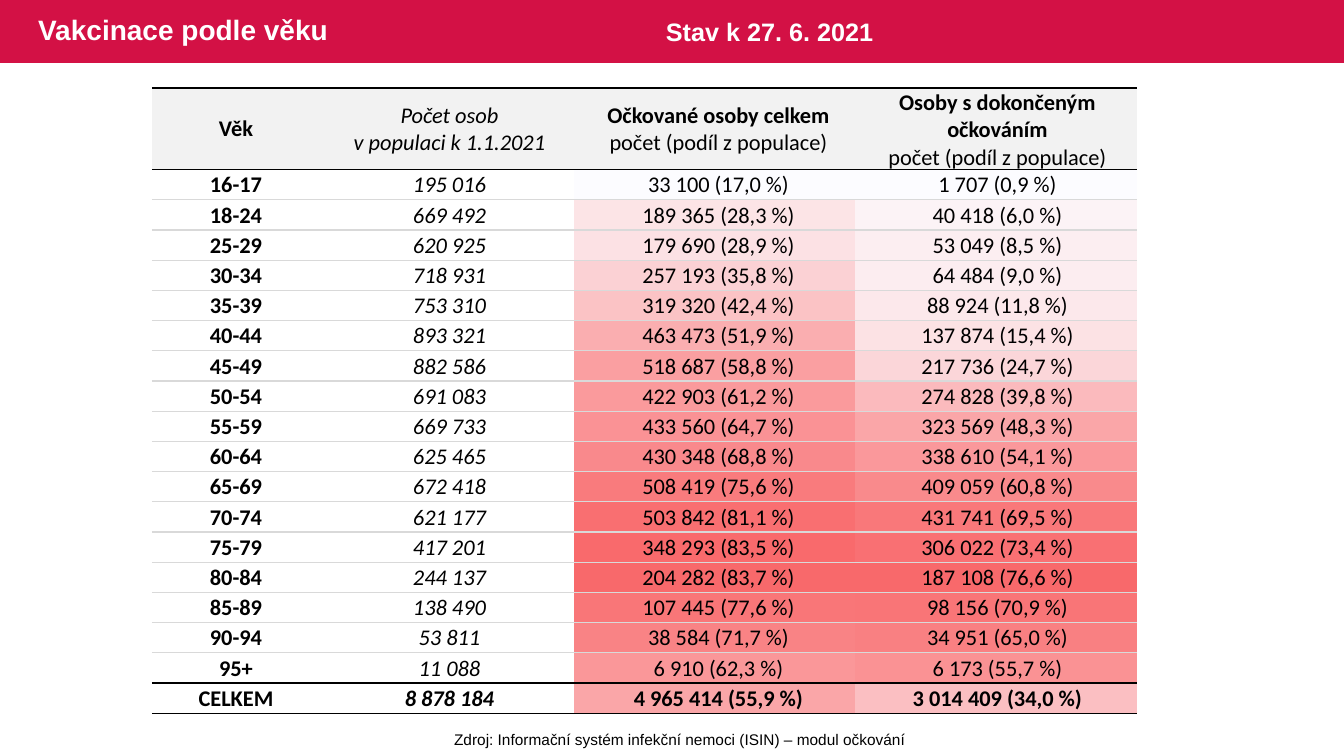
"""Build the slide on vaccination by age as of 27. 6. 2021."""
from lxml import etree
from pptx import Presentation
from pptx import util as u
from pptx.dml.color import RGBColor
from pptx.enum import shapes, text
from pptx.oxml import ns

COLOURS = {
    "band": "D31145", "white": "FFFFFF", "black": "000000", "header": "F2F2F2", "rule": "D9D9D9",
    "vaccinated": "FCFCFF FCE4E6 FCE1E4 FBD1D4 FBC3C5 FAAEB0 FA9FA1 FA9A9C FA9295 "
                  "F9898C F97B7D F96F71 F96A6C F8696B F97678 F98385 FA9799 FAA6A8",
    "finished": "FCFCFF FCF3F6 FCEEF1 FCEDF0 FCE8EB FCE2E4 FBD6D9 FBBABD FAA6A8 "
                "FA989B F98A8C F9787A F97073 F8696B F97577 F98082 FA9294 FBBFC2",
}
HEADINGS = ["Věk", "Počet osob\nv populaci k 1.1.2021",
            "Očkované osoby celkem\npočet (podíl z populace)",
            "Osoby s dokončeným očkováním\npočet (podíl z populace)"]
AGES = [
    ("16-17", "195 016", "33 100 (17,0 %)", "1 707 (0,9 %)"),
    ("18-24", "669 492", "189 365 (28,3 %)", "40 418 (6,0 %)"),
    ("25-29", "620 925", "179 690 (28,9 %)", "53 049 (8,5 %)"),
    ("30-34", "718 931", "257 193 (35,8 %)", "64 484 (9,0 %)"),
    ("35-39", "753 310", "319 320 (42,4 %)", "88 924 (11,8 %)"),
    ("40-44", "893 321", "463 473 (51,9 %)", "137 874 (15,4 %)"),
    ("45-49", "882 586", "518 687 (58,8 %)", "217 736 (24,7 %)"),
    ("50-54", "691 083", "422 903 (61,2 %)", "274 828 (39,8 %)"),
    ("55-59", "669 733", "433 560 (64,7 %)", "323 569 (48,3 %)"),
    ("60-64", "625 465", "430 348 (68,8 %)", "338 610 (54,1 %)"),
    ("65-69", "672 418", "508 419 (75,6 %)", "409 059 (60,8 %)"),
    ("70-74", "621 177", "503 842 (81,1 %)", "431 741 (69,5 %)"),
    ("75-79", "417 201", "348 293 (83,5 %)", "306 022 (73,4 %)"),
    ("80-84", "244 137", "204 282 (83,7 %)", "187 108 (76,6 %)"),
    ("85-89", "138 490", "107 445 (77,6 %)", "98 156 (70,9 %)"),
    ("90-94", "53 811", "38 584 (71,7 %)", "34 951 (65,0 %)"),
    ("95+", "11 088", "6 910 (62,3 %)", "6 173 (55,7 %)"),
    ("CELKEM", "8 878 184", "4 965 414 (55,9 %)", "3 014 409 (34,0 %)"),
]
ROWS = [HEADINGS, *AGES]
TOTAL = len(AGES)
HEADER_HEIGHT, BODY_HEIGHT = 81, 544
NO_STYLE = "{2D5ABB26-0587-4C30-8999-92F81FD0307C}"


def px(*lengths):
    return [u.Emu(round(length * 12192000 / 1344)) for length in lengths]


def add_plain_table(page, row_count, widths, left, top, height):
    frame = page.shapes.add_table(row_count, len(widths), *px(left, top, sum(widths), height))
    table = frame.table
    table.first_row = table.horz_banding = False
    table._tbl.tblPr.find(ns.qn("a:tableStyleId")).text = NO_STYLE
    for column, width in zip(table.columns, px(*widths)):
        column.width = width
    for row in table.rows:
        row.height = u.Emu(px(BODY_HEIGHT)[0] // TOTAL)
    for cell in table.iter_cells():
        cell.margin_left = cell.margin_right = cell.margin_top = px(1)[0]
        cell.margin_bottom = 0
        cell.vertical_anchor = text.MSO_ANCHOR.MIDDLE
    return table


deck = Presentation()
deck.slide_width, deck.slide_height = px(1344, 756)
page = deck.slides.add_slide(deck.slide_layouts[5])
title = page.shapes.title

band = page.shapes.add_shape(shapes.MSO_SHAPE.RECTANGLE, *px(0, 0, 1344, 63))
band.shadow.inherit = False
band.fill.solid()
band.fill.fore_color.rgb = RGBColor.from_string(COLOURS["band"])
band.line.fill.background()
title._element.addprevious(band._element)

heat = add_plain_table(page, TOTAL, [281, 282], 574, 170, BODY_HEIGHT)
for column, name in enumerate(["vaccinated", "finished"]):
    for row, colour in enumerate(COLOURS[name].split()):
        cell = heat.cell(row, column)
        cell.fill.solid()
        cell.fill.fore_color.rgb = RGBColor.from_string(colour)
        paragraph = cell.text_frame.paragraphs[0]._p
        etree.SubElement(paragraph, ns.qn("a:endParaRPr"), sz="1200")

title.left, title.top, title.width, title.height = px(28, 0, 820, 63)
status = page.shapes.add_textbox(*px(656, 11, 298, 40))
source = page.shapes.add_textbox(*px(443, 725, 474, 29))
LEFT, CENTER = text.PP_ALIGN.LEFT, text.PP_ALIGN.CENTER
for box, words, size, bold, colour, align, wrap in [
    (title, "Vakcinace podle věku", 20, True, "white", LEFT, True),
    (status, "Stav k 27. 6. 2021", 18, True, "white", LEFT, True),
    (source, "Zdroj: Informační systém infekční nemoci (ISIN) – modul očkování",
     11, False, "black", CENTER, False),
]:
    box.text_frame.text = words
    box.text_frame.word_wrap = wrap
    para = box.text_frame.paragraphs[0]
    para.alignment = align
    span = para.runs[0]
    for key, value in {"name": "Arial", "size": u.Pt(size), "bold": bold}.items():
        setattr(span.font, key, value)
    span.font.color.rgb = RGBColor.from_string(COLOURS[colour])
title.text_frame.vertical_anchor = text.MSO_ANCHOR.MIDDLE
title.text_frame.paragraphs[0].line_spacing = 0.9

figures = add_plain_table(page, len(ROWS), [168, 259, 279, 279], 152, 88,
                          HEADER_HEIGHT + BODY_HEIGHT)
figures.rows[0].height = px(HEADER_HEIGHT)[0]
for row, entries in enumerate(ROWS):
    for column, words in enumerate(entries):
        cell = figures.cell(row, column)
        properties = cell._tc.get_or_add_tcPr()
        for side, edge in [("a:lnT", row), ("a:lnB", row + 1)]:
            colour = "black" if edge in (0, 1, TOTAL, TOTAL + 1) else "rule"
            line = etree.SubElement(properties, ns.qn(side), w="12700")
            fill = etree.SubElement(line, ns.qn("a:solidFill"))
            etree.SubElement(fill, ns.qn("a:srgbClr"), val=COLOURS[colour])
        if row == 0:
            cell.fill.solid()
            cell.fill.fore_color.rgb = RGBColor.from_string(COLOURS["header"])
        else:
            cell.fill.background()
        cell.text_frame.text = words
        for number, para in enumerate(cell.text_frame.paragraphs):
            para.alignment = CENTER
            heading = row == 0 and column > 1 and number == 0
            span = para.runs[0]
            for key, value in {"name": "Calibri", "size": u.Pt(16), "italic": column == 1,
                               "bold": column == 0 or row == TOTAL or heading}.items():
                setattr(span.font, key, value)
            span.font.color.rgb = RGBColor.from_string(COLOURS["black"])

deck.save("out.pptx")
